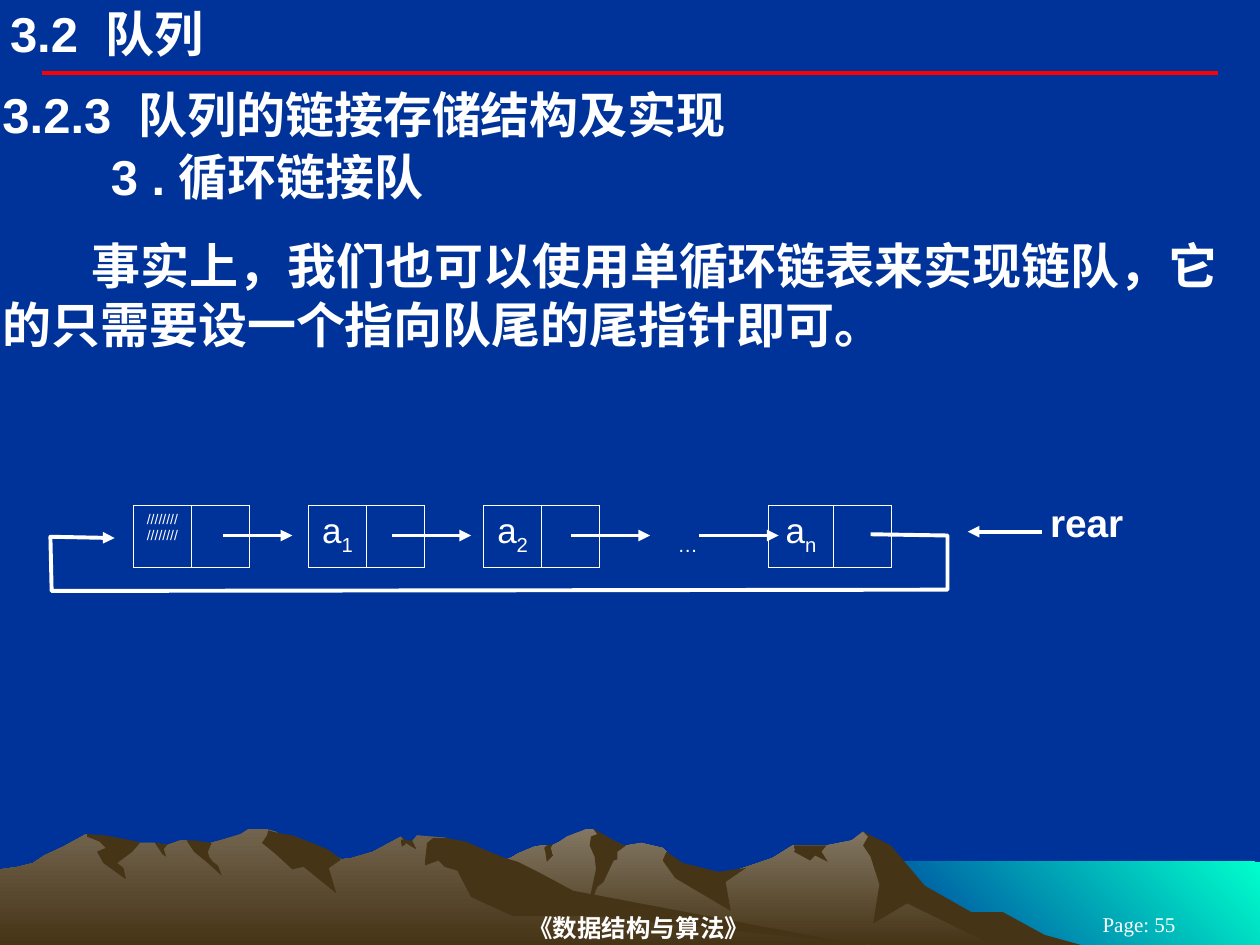
from collections import namedtuple

from lxml import etree
from pptx import Presentation
from pptx.dml.color import RGBColor
from pptx.enum.shapes import MSO_CONNECTOR
from pptx.enum.text import MSO_ANCHOR, PP_ALIGN
from pptx.oxml.ns import qn
from pptx.util import Inches, Pt

Box = namedtuple("Box", "left top width height")
Range = namedtuple("Range", "light outline shadows")
Column = namedtuple("Column", "role width label subscript", defaults=("", ""))

WHITE, RED, BLUE, SEA, ROCK = "FFFFFF", "FF0000", "003399", "00FFCC", "463416"
HEADING = dict(size=28, bold=True)
SUBSCRIPT = -25000  # thousandths of a percent

# Scenery points: hundredths of an inch from the left and top of its box
SEA_OUTLINE = [(683, 34), (1000, 34), (1000, 100), (683, 100)]
FAR_RANGE = Range("837763", [
    (802, 90), (778, 77), (764, 73), (723, 48), (702, 21), (685, 10), (676, 17), (656, 21),
    (629, 21), (613, 31), (566, 47), (536, 40), (529, 26), (526, 23), (509, 19), (497, 21),
    (486, 23), (474, 11), (471, 8), (465, 8), (450, 14), (444, 18), (438, 21), (430, 21),
    (424, 22), (412, 27), (405, 31), (394, 35), (355, 48), (327, 59), (277, 89), (258, 100),
    (820, 100)], [
    [(796, 74), (771, 74), (734, 53), (707, 21), (685, 10), (689, 14), (685, 21), (691, 30),
     (698, 52), (693, 83), (720, 67), (788, 100), (858, 100), (829, 92)],
    [(471, 8), (474, 12), (469, 14), (468, 21), (472, 30), (473, 40), (465, 77), (474, 54),
     (479, 50), (487, 33), (490, 32), (490, 26), (497, 21), (493, 20)],
    [(529, 26), (526, 33), (536, 47), (580, 73), (576, 50), (592, 39), (570, 42), (542, 35)],
    [(650, 21), (630, 21), (631, 25), (630, 26), (643, 33), (647, 29), (657, 34), (652, 26),
     (656, 21)],
    [(433, 27), (432, 23), (434, 21), (439, 20), (437, 23), (439, 29), (434, 34)]])
NEAR_RANGE = Range("72644E", [
    (690, 100), (667, 98), (432, 62), (354, 15), (331, 13), (327, 18), (323, 18), (318, 14),
    (296, 26), (279, 31), (271, 32), (260, 26), (236, 31), (223, 13), (219, 10), (212, 8),
    (197, 8), (191, 12), (178, 16), (160, 21), (148, 17), (143, 17), (132, 21), (123, 19),
    (111, 19), (94, 21), (68, 12), (50, 22), (35, 29), (26, 35), (14, 38), (0, 40), (0, 100)], [
    [(212, 13), (208, 19), (219, 28), (232, 40), (241, 38), (267, 59), (261, 39), (271, 32),
     (260, 24), (245, 18), (232, 13), (220, 11), (213, 9)],
    [(370, 18), (354, 15), (344, 15), (339, 19), (337, 37), (348, 33), (353, 38), (363, 41),
     (374, 62), (407, 77), (472, 77), (690, 100), (683, 100), (455, 57), (427, 42),
     (411, 34), (401, 31), (386, 25)],
    [(318, 17), (320, 16), (318, 14), (323, 17), (327, 17), (330, 23), (330, 24), (322, 19),
     (322, 20), (319, 22)],
    [(154, 17), (168, 19), (165, 26), (166, 30), (169, 34), (173, 37), (176, 45), (165, 35),
     (154, 26), (148, 17)],
    [(133, 20), (130, 24), (132, 30), (129, 28), (123, 19)],
    [(109, 18), (111, 19), (105, 26), (93, 35), (98, 39), (100, 48), (82, 35), (77, 26),
     (84, 23), (79, 18), (69, 14), (69, 12), (83, 13), (94, 15)]])

# A node is a data cell and a pointer cell; gaps hold the links
POINTER, GAP = Column("node", 0.46), Column("gap", 0.47)
COLUMNS = [
    Column("node", 0.46, "/" * 16), POINTER, GAP,
    Column("node", 0.46, "a", "1"), POINTER, GAP,
    Column("node", 0.46, "a", "2"), POINTER, GAP,
    Column("gap", 0.46, "", "…"), Column("gap", 0.41),
    Column("node", 0.52, "a", "n"), POINTER]
LINKS = [(1.37, 1.92), (2.71, 3.34), (4.13, 4.76), (5.15, 5.78)]  # start and end
RETURN_LINK = [(651, 23), (712, 24), (712, 67), (1, 68), (0, 25), (51, 26)]  # hundredths


def rgb(value):
    return RGBColor.from_string(value)


def format_line(shape, color, arrow):
    shape.line.color.rgb = rgb(color)
    shape.line.width = Pt(2.25)
    if arrow:
        line = shape.element.spPr.find(qn("a:ln"))
        etree.SubElement(line, qn("a:tailEnd"), type="triangle")


def add_line(slide, start, end, y, color=WHITE, arrow=True):
    """Draw a level line from start to end."""
    line = slide.shapes.add_connector(
        MSO_CONNECTOR.STRAIGHT, Inches(start), Inches(y), Inches(end), Inches(y))
    format_line(line, color, arrow)
    etree.SubElement(line.element.spPr, qn("a:effectLst"))


def add_outline(slide, box, points, close=True):
    builder = slide.shapes.build_freeform(*points[0], scale=Inches(0.01))
    builder.add_line_segments(points[1:], close=close)
    shape = builder.convert_to_shape(Inches(box.left), Inches(box.top))
    shape.shadow.inherit = False
    return shape


def add_area(slide, box, points, first, last, angle=270):
    """Fill an outline with a gradient from the first colour to the last."""
    shape = add_outline(slide, box, points)
    shape.line.fill.background()
    shape.fill.gradient()
    shape.fill.gradient_angle = angle
    for stop, color in zip(shape.fill.gradient_stops, (first, last)):
        stop.color.rgb = rgb(color)


def add_run(paragraph, text, size=20, font="Arial", bold=False, baseline=0, spacing=0):
    run = paragraph.add_run()
    run.text = text
    run.font.size = Pt(size)
    run.font.name = font
    run.font.bold = bold
    run.font.color.rgb = rgb(WHITE)
    for name, value in (("baseline", baseline), ("spc", spacing)):
        if value:
            run.font._element.set(name, str(value))


def add_text(slide, box, text, inset=(0.02, 0.01), align=PP_ALIGN.LEFT,
             anchor=MSO_ANCHOR.TOP, margin=0, indent=0, **font):
    """Add a text box and return its paragraph."""
    frame = slide.shapes.add_textbox(*map(Inches, box)).text_frame
    frame.word_wrap = True
    frame.vertical_anchor = anchor
    frame.margin_left = frame.margin_right = Inches(inset[0])
    frame.margin_top = frame.margin_bottom = Inches(inset[1])
    paragraph = frame.paragraphs[0]
    paragraph.alignment = align
    properties = paragraph._p.get_or_add_pPr()
    properties.set("marL", str(Inches(margin)))
    properties.set("indent", str(Inches(indent)))
    add_run(paragraph, text, **font)
    return paragraph


def add_numbered_heading(slide, box, number, title, **layout):
    """Part the number from the title by one space of double width."""
    paragraph = add_text(slide, box, number, **layout, **HEADING)
    add_run(paragraph, " ", spacing=778, **HEADING)
    add_run(paragraph, title, **HEADING)


def build_scenery(slide, box):
    add_area(slide, box, SEA_OUTLINE, SEA, BLUE, angle=225)
    for mountains in (FAR_RANGE, NEAR_RANGE):
        add_area(slide, box, mountains.outline, mountains.light, ROCK)
        for shadow in mountains.shadows:
            add_area(slide, box, shadow, ROCK, ROCK)


def build_footer(slide, box):
    layout = dict(font="Times New Roman", align=PP_ALIGN.CENTER, anchor=MSO_ANCHOR.MIDDLE)
    add_text(slide, Box(box.left + 2.04, box.top, 6.06, box.height), "《数据结构与算法》",
             inset=(0, 0.01), size=14, bold=True, **layout)
    add_text(slide, Box(box.left + 8.25, box.top + 0.03, 1.58, 0.17), "Page: 55",
             inset=(0.1, 0.05), size=12, **layout)


def build_headings(slide, box):
    left, top, width, height = box
    # Chapter title and rule
    add_numbered_heading(slide, Box(left + 0.08, top + 0.03, 6.5, 0.47), "3.2", "队列",
                         inset=(0, 0))
    add_line(slide, left + 0.33, left + width - 0.33, top + 0.58, RED, arrow=False)
    # Section, topic and body
    add_numbered_heading(slide, Box(left, top + 0.66, width, 0.49), "3.2.3",
                         "队列的链接存储结构及实现")
    add_text(slide, Box(left, top + 1.15, width, 0.49), "3 . 循环链接队", margin=0.86, **HEADING)
    add_text(slide, Box(left, top + 1.86, width, height - 1.86),
             "事实上，我们也可以使用单循环链表来实现链队，它的只需要设一个指向队尾的尾指针即可。",
             indent=0.71, **HEADING)


def set_border(cell, position, side, visible):
    line = etree.Element(qn(f"a:ln{side}"), w=str(Pt(0.45)))
    fill = etree.SubElement(line, qn("a:solidFill" if visible else "a:noFill"))
    if visible:
        etree.SubElement(fill, qn("a:srgbClr"), val=WHITE)
    cell._tc.get_or_add_tcPr().insert(position, line)


def build_nodes(slide, box):
    table = slide.shapes.add_table(1, len(COLUMNS), *map(Inches, box)).table
    table.first_row = table.horz_banding = False
    # A shared edge is drawn when the cell on either side belongs to a node
    is_node = [column.role == "node" for column in COLUMNS]
    before, after = [False] + is_node[:-1], is_node[1:] + [False]
    for index, column in enumerate(COLUMNS):
        table.columns[index].width = Inches(column.width)
        cell = table.cell(0, index)
        cell.fill.background()
        own = is_node[index]
        edges = {"L": own or before[index], "R": own or after[index], "T": own, "B": own}
        for position, (side, visible) in enumerate(edges.items()):
            set_border(cell, position, side, visible)
        paragraph = cell.text_frame.paragraphs[0]
        paragraph.alignment = PP_ALIGN.CENTER
        if column.label:
            add_run(paragraph, column.label, size=20 if column.subscript else 8)
        if column.subscript:
            add_run(paragraph, column.subscript, baseline=SUBSCRIPT)


def build_queue(slide, box):
    left, top = box.left, box.top
    build_nodes(slide, Box(left + 0.66, top, sum(column.width for column in COLUMNS), 0.49))
    for start, end in LINKS:
        add_line(slide, left + start, left + end, top + 0.24)
    # Rear pointer
    add_text(slide, Box(left + 7.67, top - 0.1, 1.11, 0.5), "rear", inset=(0.1, 0.05),
             align=PP_ALIGN.CENTER, size=22.2, bold=True)
    add_line(slide, left + 7.87, left + 7.28, top + 0.21)
    # Link from the last node back to the first
    link = add_outline(slide, box, RETURN_LINK, close=False)
    link.fill.background()
    format_line(link, WHITE, arrow=True)


def main():
    presentation = Presentation()
    presentation.slide_width, presentation.slide_height = Inches(10), Inches(7.5)
    slide = presentation.slides.add_slide(presentation.slide_layouts[6])
    slide.background.fill.solid()
    slide.background.fill.fore_color.rgb = rgb(BLUE)
    build_scenery(slide, Box(0, 6.5, 10, 1))
    build_footer(slide, Box(0, 7.22, 10, 0.28))
    build_headings(slide, Box(0, 0, 10, 2.82))
    build_queue(slide, Box(0.4, 4.01, 8.78, 0.69))
    presentation.save("out.pptx")


if __name__ == "__main__":
    main()
